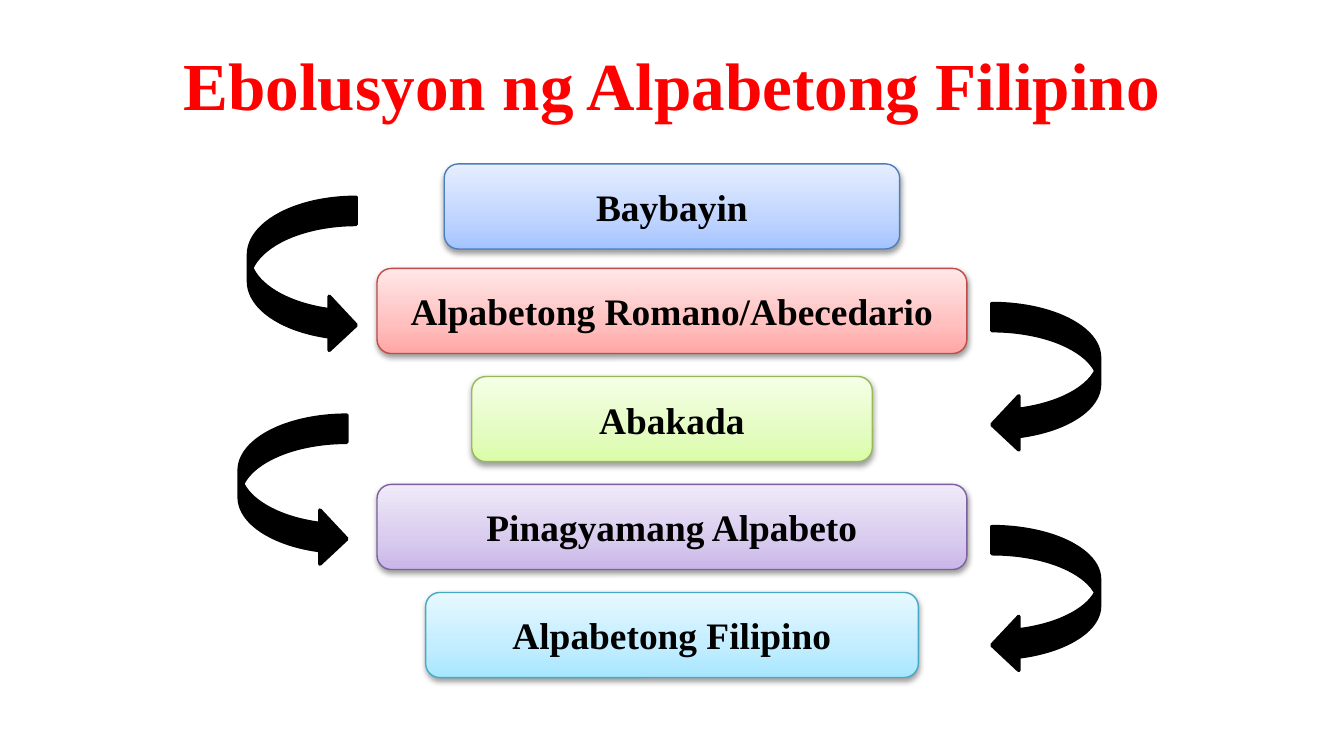
import pptx
import pptx.util
import pptx.oxml
import pptx.oxml.ns
import pptx.dml.color
import pptx.enum.shapes
import pptx.enum.text

Pt = pptx.util.Pt
Kind = pptx.enum.shapes.MSO_SHAPE

TITLE = "Ebolusyon ng Alpabetong Filipino"
FONT = "Times New Roman"
CENTRE, STAGE_HEIGHT = 360, 45.6
STAGES = [
    ("Baybayin", 87.8, 244, "4B7EBC", ("A4C4FF", "BFD4FF", "E6EEFF")),
    ("Alpabetong Romano/Abecedario", 143.8, 316, "BF4C48", ("FFA6A5", "FFC0BF", "FFE7E7")),
    ("Abakada", 201.7, 214.6, "98B955", ("DAFDA7", "E4FCC2", "F5FFE7")),
    ("Pinagyamang Alpabeto", 259.5, 316, "7D60A0", ("C9B5E8", "D8CBEE", "F0EAF9")),
    ("Alpabetong Filipino", 317.4, 264, "46AAC5", ("A7E6FF", "C1EDFF", "E7F8FF")),
]
STOPS = (0, 35, 100)
ARROW_WIDTH = 57.6
ARROWS = [
    (Kind.CURVED_RIGHT_ARROW, 133.2, 105.8, 82.8),
    (Kind.CURVED_LEFT_ARROW, 531.4, 162.7, 79.2),
    (Kind.CURVED_LEFT_ARROW, 531.4, 282.2, 77.8),
    (Kind.CURVED_RIGHT_ARROW, 128.2, 222.5, 80.6),
]


def colour(value):
    return pptx.dml.color.RGBColor.from_string(value)


def write(shape, text, size, value):
    frame = shape.text_frame
    frame.word_wrap = True
    frame.auto_size = pptx.enum.text.MSO_AUTO_SIZE.NONE
    frame.vertical_anchor = pptx.enum.text.MSO_ANCHOR.MIDDLE
    para = frame.paragraphs[0]
    para.alignment = pptx.enum.text.PP_ALIGN.CENTER
    span = para.add_run()
    span.text = text
    span.font.name = FONT
    span.font.size = Pt(size)
    span.font.bold = True
    span.font.color.rgb = colour(value)


def add_shape(page, kind, left, top, width, height, line, weight):
    shape = page.shapes.add_shape(kind, Pt(left), Pt(top), Pt(width), Pt(height))
    shape.shadow.inherit = False
    shape.line.color.rgb = colour(line)
    shape.line.width = Pt(weight)
    return shape


def add_gradient(shape, values):
    stops = "".join(
        f'<a:gs pos="{stop * 1000}"><a:srgbClr val="{value}"/></a:gs>'
        for stop, value in zip(STOPS, values)
    )
    gradient = pptx.oxml.parse_xml(
        f'<a:gradFill {pptx.oxml.ns.nsdecls("a")} rotWithShape="1">'
        f'<a:gsLst>{stops}</a:gsLst><a:lin ang="16200000" scaled="0"/></a:gradFill>'
    )
    shape.line._ln.addprevious(gradient)


def add_shadow(shape):
    effects = shape._element.spPr.find(pptx.oxml.ns.qn("a:effectLst"))
    effects.append(pptx.oxml.parse_xml(
        f'<a:outerShdw {pptx.oxml.ns.nsdecls("a")} blurRad="{Pt(3.1)}" dist="{Pt(1.6)}" '
        'dir="5400000" rotWithShape="0">'
        '<a:srgbClr val="000000"><a:alpha val="38000"/></a:srgbClr></a:outerShdw>'
    ))


deck = pptx.Presentation()
deck.slide_width, deck.slide_height = Pt(720), Pt(405)
page = deck.slides.add_slide(deck.slide_layouts[5])

title = page.shapes.title
title.left, title.top, title.width, title.height = Pt(0), Pt(18), Pt(720), Pt(54)
write(title, TITLE, 36, "FF0000")

for name, top, width, line, values in STAGES:
    box = add_shape(page, Kind.ROUNDED_RECTANGLE, CENTRE - width / 2, top,
                    width, STAGE_HEIGHT, line, 0.75)
    add_gradient(box, values)
    add_shadow(box)
    write(box, name, 20, "000000")

for kind, left, top, height in ARROWS:
    arrow = add_shape(page, kind, left, top, ARROW_WIDTH, height, "000000", 2)
    arrow.fill.solid()
    arrow.fill.fore_color.rgb = colour("000000")

deck.save("out.pptx")
